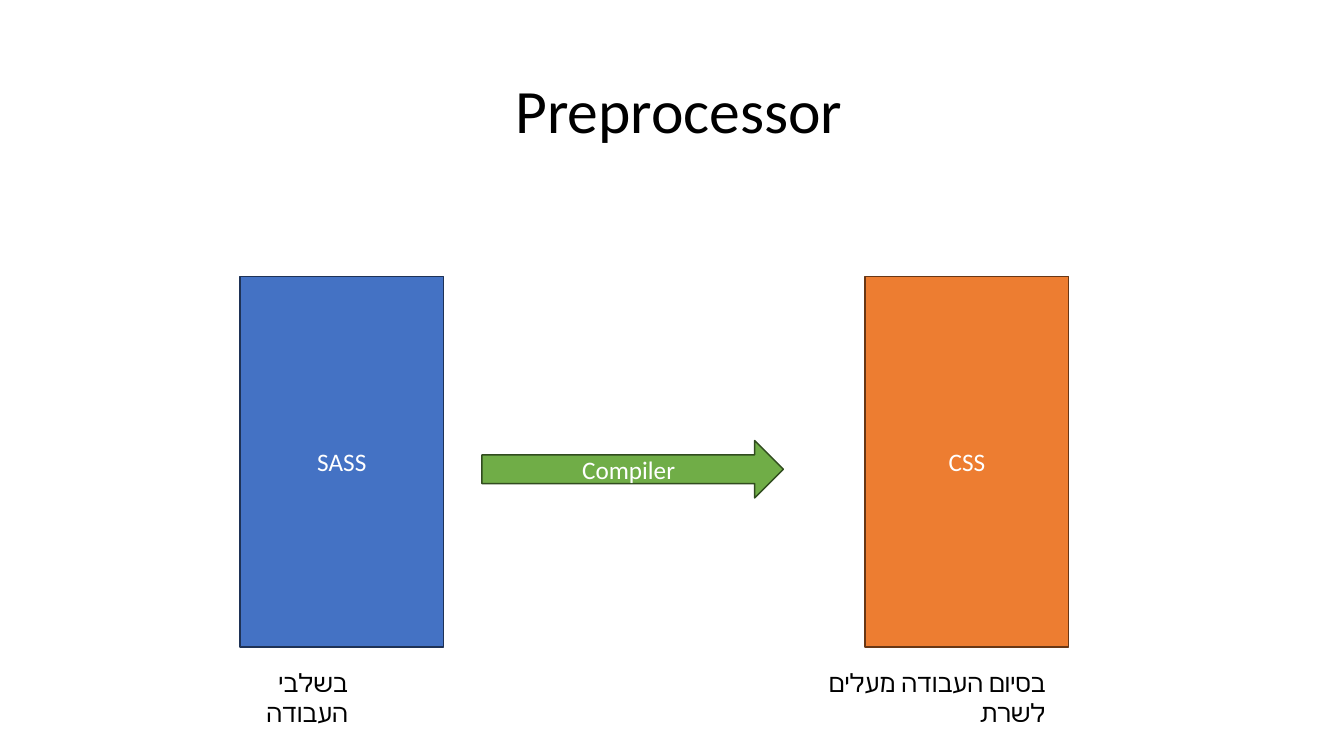
"""Build the Preprocessor slide: SASS compiled into CSS."""
from pptx import Presentation
from pptx.dml.color import RGBColor
from pptx.enum.shapes import MSO_SHAPE
from pptx.enum.text import MSO_ANCHOR, MSO_AUTO_SIZE, PP_ALIGN
from pptx.util import Inches, Pt

RECT, ARROW = MSO_SHAPE.RECTANGLE, MSO_SHAPE.RIGHT_ARROW
CENTER, RIGHT = PP_ALIGN.CENTER, PP_ALIGN.RIGHT
MIDDLE = MSO_ANCHOR.MIDDLE
FIT_SHAPE, NO_FIT = MSO_AUTO_SIZE.SHAPE_TO_FIT_TEXT, MSO_AUTO_SIZE.NONE

THEME = {
    "font": "Calibri", "title": 44, "body": 18,
    "text": "000000", "light": "FFFFFF",
    "blue": ("4472C4", "1E3256"),
    "green": ("70AD47", "314C1F"),
    "orange": ("ED7D31", "683715"),
}


def write(tf, text, size, color, align):
    """Fill a text frame with one right-to-left paragraph."""
    p = tf.paragraphs[0]
    p.text = text
    p.alignment = align
    p._p.get_or_add_pPr().set("rtl", "1")
    p.font.name = THEME["font"]
    p.font.size = Pt(THEME[size])
    p.font.color.rgb = RGBColor.from_string(THEME[color])
    return p


prs = Presentation()
prs.slide_width, prs.slide_height = Inches(13.33), Inches(7.5)
s = prs.slides.add_slide(prs.slide_layouts[5])

title = s.shapes.title
title.left, title.top = Inches(0.91), Inches(0.4)
title.width, title.height = Inches(11.5), Inches(1.45)
title.text_frame.vertical_anchor = MIDDLE
title.text_frame.auto_size = NO_FIT
p = write(title.text_frame, "Preprocessor ", "title", "text", CENTER)
p.line_spacing = 0.9

stages = [
    ("SASS", RECT, "blue", 2.38, 2.74, 2.02, 3.68),
    ("Compiler ", ARROW, "green", 4.78, 4.37, 2.99, 0.57),
    ("CSS", RECT, "orange", 8.58, 2.74, 2.02, 3.68),
]
for text, kind, color, *box in stages:
    sp = s.shapes.add_shape(kind, *map(Inches, box))
    fill, line = THEME[color]
    sp.shadow.inherit = False
    sp.fill.solid()
    sp.fill.fore_color.rgb = RGBColor.from_string(fill)
    sp.line.color.rgb = RGBColor.from_string(line)
    sp.line.width = Pt(1)
    sp.text_frame.vertical_anchor = MIDDLE
    write(sp.text_frame, text, "body", "light", CENTER)

captions = [
    ("בשלבי העבודה", 2.55, 1.67, 0.77),
    ("בסיום העבודה מעלים לשרת", 8.13, 2.94, 0.7),
]
for text, left, width, inset in captions:
    sp = s.shapes.add_textbox(Inches(left), Inches(6.57), Inches(width), Inches(0.4))
    tf = sp.text_frame
    tf.word_wrap = True
    tf.auto_size = FIT_SHAPE
    tf.margin_left, tf.margin_right = Inches(0.05), Inches(inset)
    write(tf, text, "body", "text", RIGHT)

prs.save("out.pptx")
